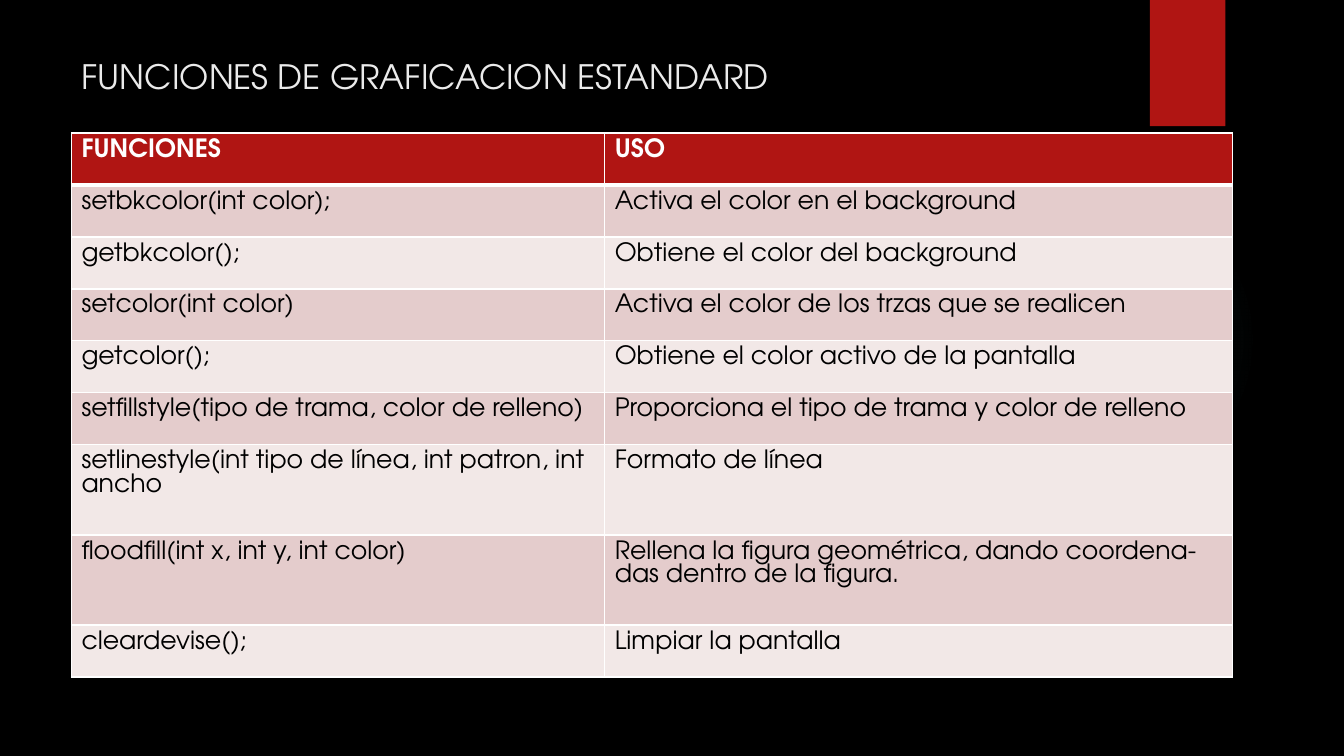
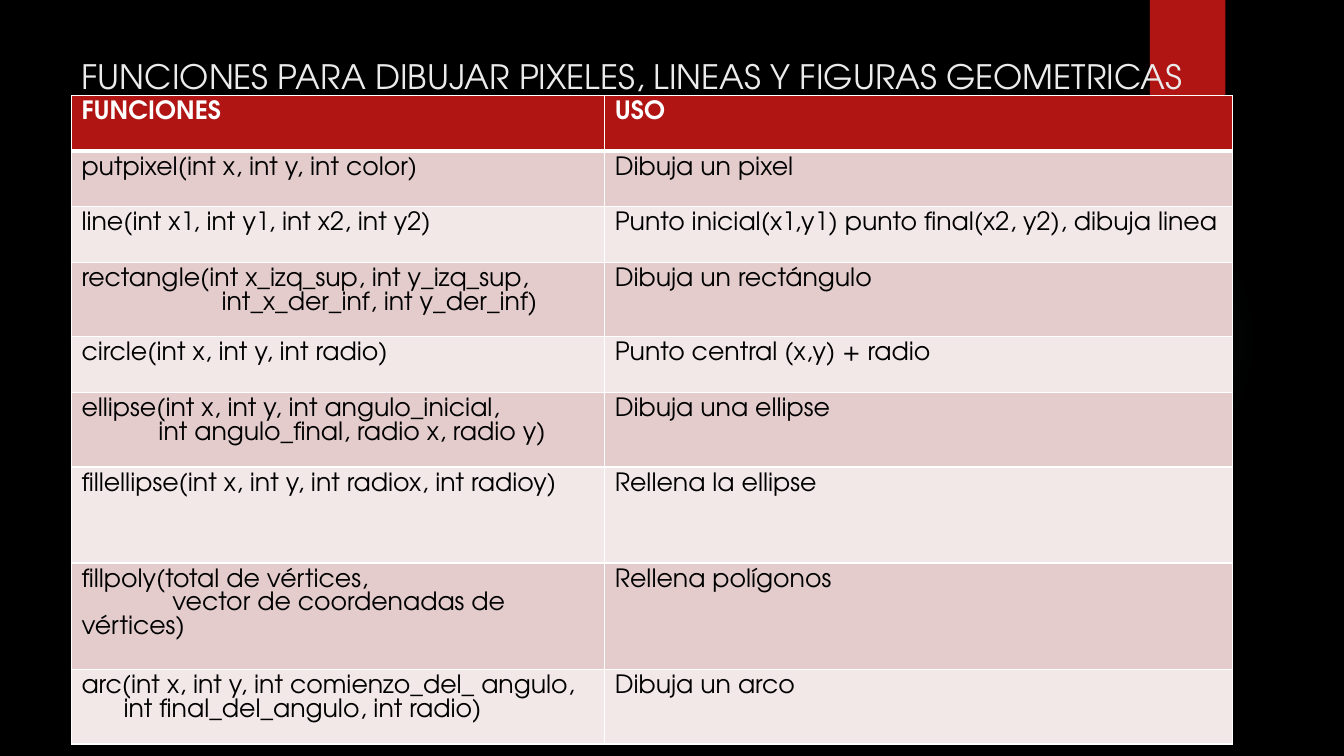
from dataclasses import dataclass

from lxml.etree import SubElement
from pptx import Presentation
from pptx.dml.color import RGBColor
from pptx.enum.shapes import MSO_SHAPE
from pptx.enum.text import MSO_ANCHOR, MSO_AUTO_SIZE, PP_ALIGN
from pptx.oxml import parse_xml
from pptx.oxml.ns import nsdecls, qn
from pptx.util import Cm, Pt

FONT = "TeX Gyre Adventor"
BLACK = RGBColor(0x00, 0x00, 0x00)
WHITE = RGBColor(0xFF, 0xFF, 0xFF)
TITLE_GREY = RGBColor(0xEB, 0xEB, 0xEB)
RED = RGBColor(0xB0, 0x15, 0x13)
TEAL = RGBColor(0x50, 0xB9, 0xC1)
BANDS = (RGBColor(0xE4, 0xCC, 0xCC), RGBColor(0xF2, 0xE8, 0xE7))

LEFT = 1.8
COLUMNS = (13.44, 15.82)
HEADER = ("FUNCIONES", "USO")
THIN, THICK = 1, 3


@dataclass(frozen=True)
class Row:
    function: str
    use: str
    height: float
    indent: float = 0  # first-line indent of the continuation line


@dataclass(frozen=True)
class FunctionSlide:
    title: str
    title_width: float
    table_top: float
    header_height: float
    rows: tuple[Row, ...]


SLIDES = (
    FunctionSlide(
        "FUNCIONES DE GRAFICACION ESTANDARD", 26.14, 3.35, 1.31,
        (
            Row("setbkcolor(int color);", "Activa el color en el background", 1.31),
            Row("getbkcolor();", "Obtiene el color del background", 1.31),
            Row("setcolor(int color)", "Activa el color de los trzas que se realicen", 1.31),
            Row("getcolor();", "Obtiene el color activo de la pantalla", 1.31),
            Row("setfillstyle(tipo de trama, color de relleno)",
                "Proporciona el tipo de trama y color de relleno", 1.31),
            Row("setlinestyle(int tipo de línea, int patron, int ancho", "Formato de línea", 2.27),
            Row("floodfill(int x, int y, int color)",
                "Rellena la figura geométrica, dando coordena-\ndas dentro de la figura.", 2.27),
            Row("cleardevise();", "Limpiar la pantalla", 1.31),
        ),
    ),
    FunctionSlide(
        "FUNCIONES PARA DIBUJAR PIXELES, LINEAS Y FIGURAS GEOMETRICAS", 29.28, 2.41, 1.4,
        (
            Row("putpixel(int x, int y, int color)", "Dibuja un pixel", 1.4),
            Row("line(int x1, int y1, int x2, int y2)",
                "Punto inicial(x1,y1) punto final(x2, y2), dibuja linea", 1.4),
            Row("rectangle(int x_izq_sup, int y_izq_sup,\nint_x_der_inf, int y_der_inf)",
                "Dibuja un rectángulo", 1.88, 3.53),
            Row("circle(int x, int y, int radio)", "Punto central (x,y) + radio", 1.4),
            Row("ellipse(int x, int y, int angulo_inicial,\nint angulo_final, radio x, radio y)",
                "Dibuja una ellipse", 1.88, 1.94),
            Row("fillellipse(int x, int y, int radiox, int radioy)", "Rellena la ellipse", 2.42),
            Row("fillpoly(total de vértices,\nvector de coordenadas de vértices)",
                "Rellena polígonos", 2.68, 2.29),
            Row("arc(int x, int y, int comienzo_del_ angulo,\nint final_del_angulo, int radio)",
                "Dibuja un arco", 1.88, 1.06),
        ),
    ),
)


def add_decor(slide) -> None:
    """Faint glow and red tab behind the content."""
    glow = slide.shapes.add_shape(MSO_SHAPE.OVAL, Cm(23.9), Cm(4.65), Cm(7.82), Cm(7.82))
    tab = slide.shapes.add_shape(MSO_SHAPE.RECTANGLE, Cm(28.98), Cm(0), Cm(1.9), Cm(3.18))
    for sp in (glow, tab):
        sp.line.fill.background()
        sp.shadow.inherit = False
    tab.fill.solid()
    tab.fill.fore_color.rgb = RED

    stops = "".join(
        f'<a:gs pos="{pos * 1000}"><a:srgbClr val="{TEAL}">'
        f'<a:alpha val="{alpha * 1000}"/></a:srgbClr></a:gs>'
        for pos, alpha in ((0, 7), (36, 6), (69, 0))
    )
    gradient = parse_xml(
        f'<a:gradFill {nsdecls("a")}><a:gsLst>{stops}</a:gsLst><a:path path="circle">'
        '<a:fillToRect l="50000" t="50000" r="50000" b="50000"/></a:path></a:gradFill>'
    )
    glow.element.spPr.find(qn("a:prstGeom")).addnext(gradient)


def set_title(slide, text: str, width: float) -> None:
    title = slide.shapes.title
    title.left, title.top, title.width, title.height = Cm(LEFT), Cm(1.27), Cm(width), Cm(2.11)
    tf = title.text_frame
    tf.text = text
    tf.auto_size = MSO_AUTO_SIZE.NONE
    tf.vertical_anchor = MSO_ANCHOR.TOP
    p = tf.paragraphs[0]
    p.alignment = PP_ALIGN.LEFT
    p.font.name, p.font.size = FONT, Pt(24)
    p.font.color.rgb = TITLE_GREY
    # Keep the title in front of the red tab
    slide.shapes.element.append(title.element)


def set_borders(cell, top: int, bottom: int) -> None:
    tc_pr = cell._tc.get_or_add_tcPr()
    sides = (("lnL", THIN), ("lnR", THIN), ("lnT", top), ("lnB", bottom))
    for i, (side, width) in enumerate(sides):
        ln = SubElement(tc_pr, qn(f"a:{side}"), w=str(Pt(width)))
        SubElement(SubElement(ln, qn("a:solidFill")), qn("a:srgbClr"), val=str(WHITE))
        tc_pr.insert(i, ln)


def fill_cell(cell, text: str, row_index: int, indent: float = 0) -> None:
    is_header = row_index == 0
    cell.fill.solid()
    cell.fill.fore_color.rgb = RED if is_header else BANDS[(row_index - 1) % 2]
    set_borders(cell, THICK if row_index == 1 else THIN, THICK if is_header else THIN)
    cell.vertical_anchor = MSO_ANCHOR.TOP
    cell.text = text
    for i, p in enumerate(cell.text_frame.paragraphs):
        if i and indent:
            p._p.get_or_add_pPr().set("indent", str(Cm(indent)))
        p.line_spacing = Pt(17.1)
        p.font.name, p.font.size, p.font.bold = FONT, Pt(18), is_header
        p.font.color.rgb = WHITE if is_header else BLACK


def add_function_table(slide, content: FunctionSlide) -> None:
    rows = (Row(*HEADER, content.header_height), *content.rows)
    table = slide.shapes.add_table(
        len(rows), len(COLUMNS), Cm(LEFT), Cm(content.table_top),
        Cm(sum(COLUMNS)), Cm(sum(row.height for row in rows)),
    ).table
    table.horz_banding = False
    for column, width in zip(table.columns, COLUMNS):
        column.width = Cm(width)
    for i, row in enumerate(rows):
        table.rows[i].height = Cm(row.height)
        fill_cell(table.cell(i, 0), row.function, i, row.indent)
        fill_cell(table.cell(i, 1), row.use, i)


def main() -> None:
    prs = Presentation()
    prs.slide_width, prs.slide_height = Cm(33.87), Cm(19.05)
    # Black background shared by every slide
    background = prs.slide_master.background.fill
    background.solid()
    background.fore_color.rgb = BLACK
    title_only = prs.slide_layouts[5]
    for content in SLIDES:
        slide = prs.slides.add_slide(title_only)
        add_decor(slide)
        set_title(slide, content.title, content.title_width)
        add_function_table(slide, content)
    prs.save("out.pptx")


if __name__ == "__main__":
    main()
